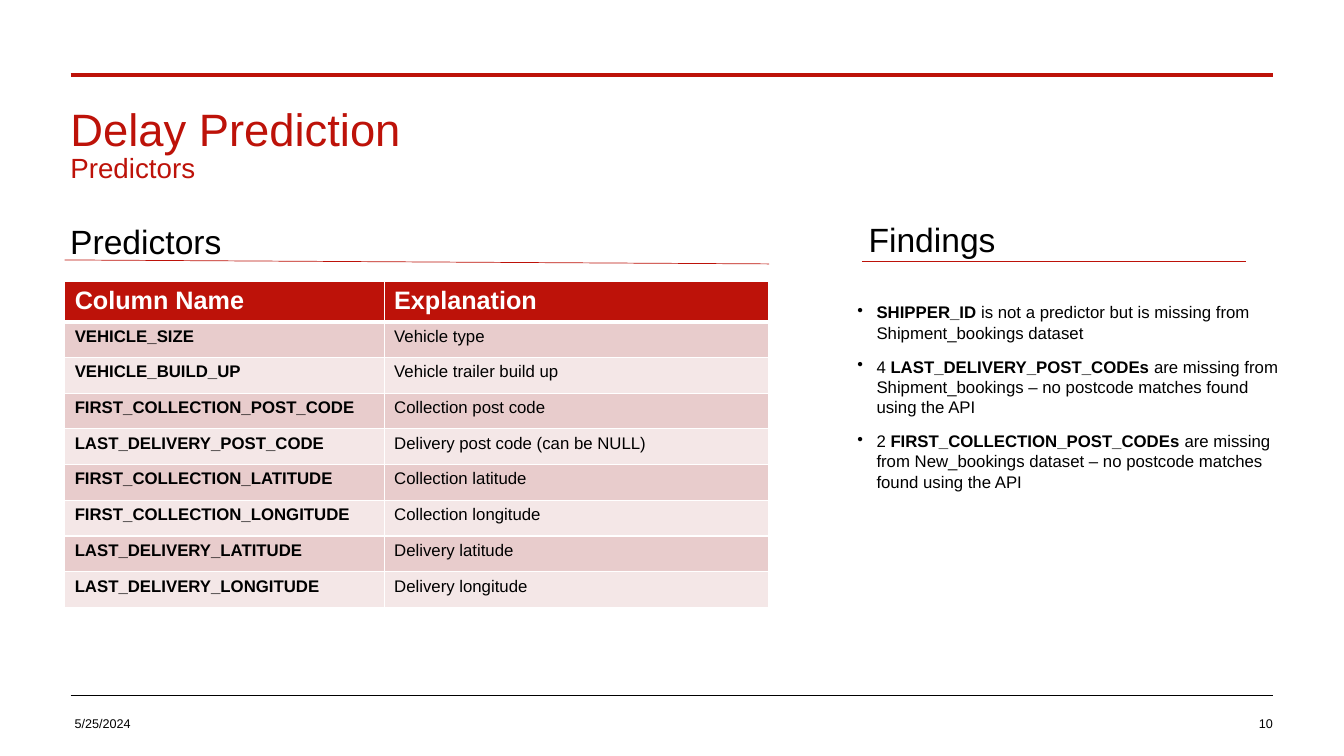
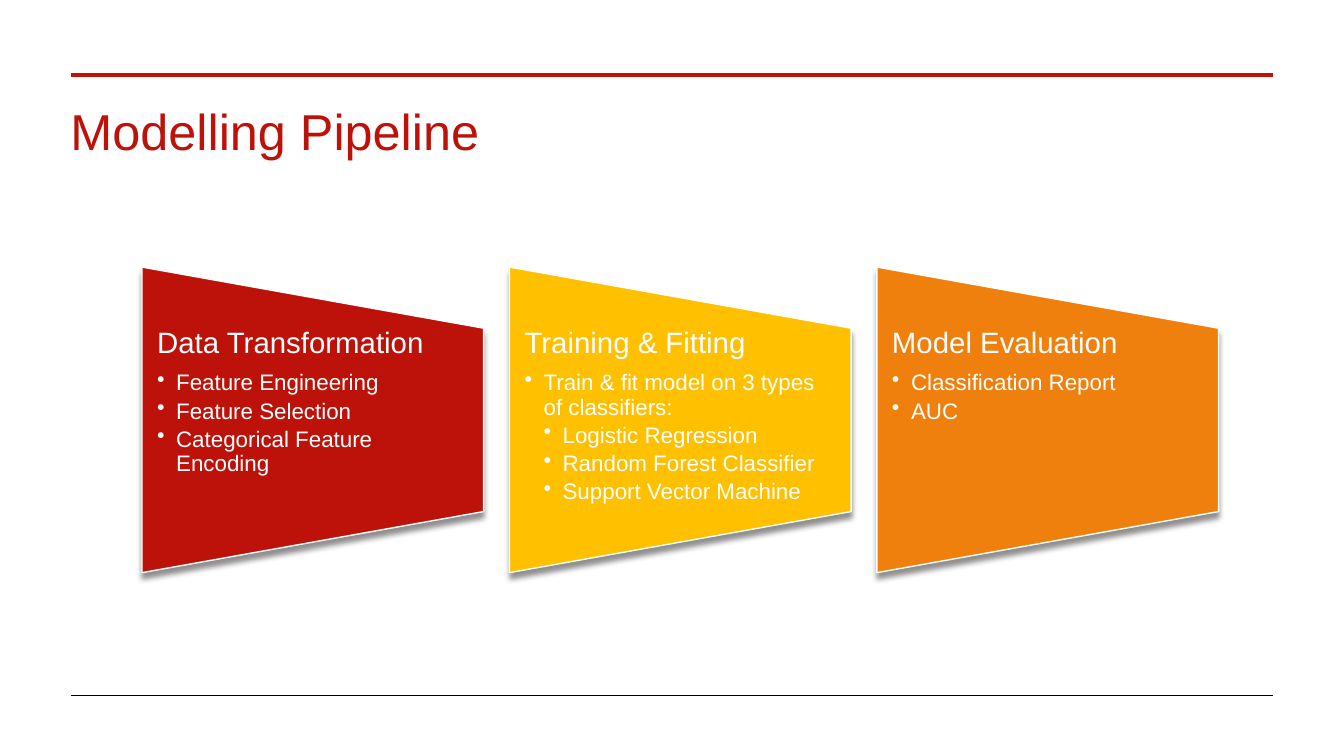
from dataclasses import dataclass

from lxml import etree
from pptx import Presentation
from pptx.dml.color import RGBColor
from pptx.enum import shapes, text
from pptx.oxml import ns
from pptx.util import Cm, Pt


@dataclass(frozen=True)
class Theme:
    font: str = "Arial"
    red: str = "BD1209"
    yellow: str = "FFC000"
    orange: str = "F0800D"
    black: str = "000000"
    white: str = "FFFFFF"
    bands: tuple = ("E8CCCC", "F4E7E7")
    title: float = 36
    title_small: float = 32.4
    subtitle: float = 19.8
    heading: float = 24
    stage: float = 21
    table_head: float = 18
    stage_item: float = 16
    body: float = 12
    footer: float = 9
    indent: float = 0.48


T = Theme()

PREDICTORS = [
    ("Column Name", "Explanation"),
    ("VEHICLE_SIZE", "Vehicle type"),
    ("VEHICLE_BUILD_UP", "Vehicle trailer build up"),
    ("FIRST_COLLECTION_POST_CODE", "Collection post code"),
    ("LAST_DELIVERY_POST_CODE", "Delivery post code (can be NULL)"),
    ("FIRST_COLLECTION_LATITUDE", "Collection latitude"),
    ("FIRST_COLLECTION_LONGITUDE", "Collection longitude"),
    ("LAST_DELIVERY_LATITUDE", "Delivery latitude"),
    ("LAST_DELIVERY_LONGITUDE", "Delivery longitude"),
]

FINDINGS = [
    "**SHIPPER_ID **is not a predictor but is missing from Shipment_bookings dataset",
    "4 **LAST_DELIVERY_POST_CODEs **are missing from Shipment_bookings – "
    "no postcode matches found using the API",
    "2 **FIRST_COLLECTION_POST_CODEs **are missing from New_bookings dataset – "
    "no postcode matches found using the API",
]

HEADINGS = [
    ("Predictors", (1.52, 5.44), (1.63, 6.55, 19.38, 6.65)),
    ("Findings", (21.64, 5.38), (21.72, 6.58, 31.39, 6.58)),
]

FOOTERS = [
    ("5/25/2024", (1.63, 17.91, 8.28, 0.86), text.PP_ALIGN.LEFT),
    ("10", (29.74, 17.91, 2.59, 0.86), text.PP_ALIGN.RIGHT),
]

STAGES = [
    ("Data Transformation", T.red, [
        (1, "Feature Engineering"),
        (1, "Feature Selection"),
        (1, "Categorical Feature Encoding"),
    ]),
    ("Training & Fitting", T.yellow, [
        (1, "Train & fit model on 3 types of classifiers:"),
        (2, "Logistic Regression"),
        (2, "Random Forest Classifier"),
        (2, "Support Vector Machine"),
    ]),
    ("Model Evaluation", T.orange, [
        (1, "Classification Report"),
        (1, "AUC"),
    ]),
]


def rgb(color):
    return RGBColor.from_string(color)


def child(parent, tag, **attrs):
    return etree.SubElement(parent, ns.qn(tag), attrs)


def write(tf, content, size=T.body, color=T.black, bold=False, align=None,
          before=0, after=0, spacing=None, level=0):
    first = not tf.text
    p = tf.paragraphs[0] if first else tf.add_paragraph()
    p.alignment = align
    p.space_before = Pt(0 if first else before)
    p.space_after = Pt(after)
    if spacing:
        p.line_spacing = spacing
    if level:
        p.level = level
        pPr = p._p.get_or_add_pPr()
        pPr.set("marL", str(Cm(level * T.indent)))
        pPr.set("indent", str(-Cm(T.indent)))
        child(pPr, "a:buChar", char="•")
    for i, part in enumerate(content.split("**")):
        if part:
            r = p.add_run()
            r.text = part
            r.font.name = T.font
            r.font.size = Pt(size)
            r.font.bold = bold or i % 2 == 1
            r.font.color.rgb = rgb(color)


def text_frame(parent, box):
    tf = parent.add_textbox(*map(Cm, box)).text_frame
    tf.word_wrap = True
    return tf


def rule(s, ends, color, width):
    line = s.shapes.add_connector(shapes.MSO_CONNECTOR.STRAIGHT, *map(Cm, ends))
    line.line.color.rgb = rgb(color)
    line.line.width = Pt(width)
    child(line._element.spPr, "a:effectLst")


def new_slide(prs, box, lines):
    s = prs.slides.add_slide(prs.slide_layouts[5])
    rule(s, (1.78, 1.88, 32.08, 1.88), T.red, 3)
    rule(s, (1.78, 17.53, 32.08, 17.53), T.black, 0.5)
    sp = s.shapes.title
    sp.left, sp.top, sp.width, sp.height = map(Cm, box)
    tf = sp.text_frame
    tf.word_wrap = True
    tf.auto_size = text.MSO_AUTO_SIZE.NONE
    tf.vertical_anchor = text.MSO_ANCHOR.TOP
    for content, size in lines:
        write(tf, content, size=size, color=T.red, spacing=0.85,
              align=text.PP_ALIGN.LEFT)
    return s


def border_cell(cell, bottom):
    tcPr = cell._tc.get_or_add_tcPr()
    for i, (side, width) in enumerate(zip("LRTB", (1, 1, 1, bottom))):
        ln = etree.Element(ns.qn(f"a:ln{side}"), w=str(Pt(width)))
        child(child(ln, "a:solidFill"), "a:srgbClr", val=T.white)
        tcPr.insert(i, ln)


def predictor_table(s):
    table = s.shapes.add_table(len(PREDICTORS), 2, Cm(1.63), Cm(7.09),
                               Cm(17.73), Cm(8.15)).table
    table.horz_banding = False
    for column, width in zip(table.columns, (8.05, 9.68)):
        column.width = Cm(width)
    for i, values in enumerate(PREDICTORS):
        head = i == 0
        table.rows[i].height = Cm(0.97 if head else 0.9)
        for j, value in enumerate(values):
            cell = table.cell(i, j)
            cell.fill.solid()
            cell.fill.fore_color.rgb = rgb(T.red if head else T.bands[(i - 1) % 2])
            border_cell(cell, 3 if head else 1)
            write(cell.text_frame, value, bold=head or j == 0,
                  size=T.table_head if head else T.body,
                  color=T.white if head else T.black)


def predictors_slide(prs):
    s = new_slide(prs, (1.52, 2.64, 18.39, 1.55),
                  [("Delay Prediction", T.title_small), ("Predictors", T.subtitle)])
    for content, box, align in FOOTERS:
        write(text_frame(s.shapes, box), content, size=T.footer, align=align)
    predictor_table(s)
    for content, corner, ends in HEADINGS:
        write(text_frame(s.shapes, (*corner, 10.69, 1.27)), content, size=T.heading)
        rule(s, ends, T.red, 0.5)
    tf = text_frame(s.shapes, (21.36, 7.49, 11.28, 5.08))
    for finding in FINDINGS:
        write(tf, finding, before=10, level=1)


def add_stage(s, left, name, color, items):
    width, height, top = 8.61, 7.7, 6.73
    turn = (width - height) / 2
    group = s.shapes.add_group_shape().shapes
    sp = group.add_shape(shapes.MSO_SHAPE.FLOWCHART_MANUAL_OPERATION,
                         Cm(left + turn), Cm(top - turn), Cm(height), Cm(width))
    sp.rotation = 270
    sp.fill.solid()
    sp.fill.fore_color.rgb = rgb(color)
    sp.line.color.rgb = rgb(T.white)
    sp.line.width = Pt(1)
    sp.shadow.inherit = False
    effects = sp._element.spPr.find(ns.qn("a:effectLst"))
    shadow = child(effects, "a:outerShdw", blurRad=str(Pt(4)), dist=str(Pt(4)),
                   dir="5400000", algn="ctr", rotWithShape="0")
    child(child(shadow, "a:srgbClr", val=T.black), "a:alpha", val="43000")

    tf = text_frame(group, (left, top + height / 5, width, height * 0.6))
    tf.margin_left = tf.margin_right = Cm(0.38)
    tf.margin_top = tf.margin_bottom = 0
    write(tf, name, size=T.stage, color=T.white, spacing=0.9, after=8.4)
    for level, item in items:
        write(tf, item, size=T.stage_item, color=T.white, spacing=0.9,
              after=2.8, level=level)


def pipeline_slide(prs):
    s = new_slide(prs, (1.52, 2.64, 30.53, 3), [("Modelling Pipeline", T.title)])
    for i, stage in enumerate(STAGES):
        add_stage(s, 3.58 + i * 9.26, *stage)


def main():
    prs = Presentation()
    prs.slide_width, prs.slide_height = Cm(33.87), Cm(19.05)
    predictors_slide(prs)
    pipeline_slide(prs)
    prs.save("out.pptx")


if __name__ == "__main__":
    main()
